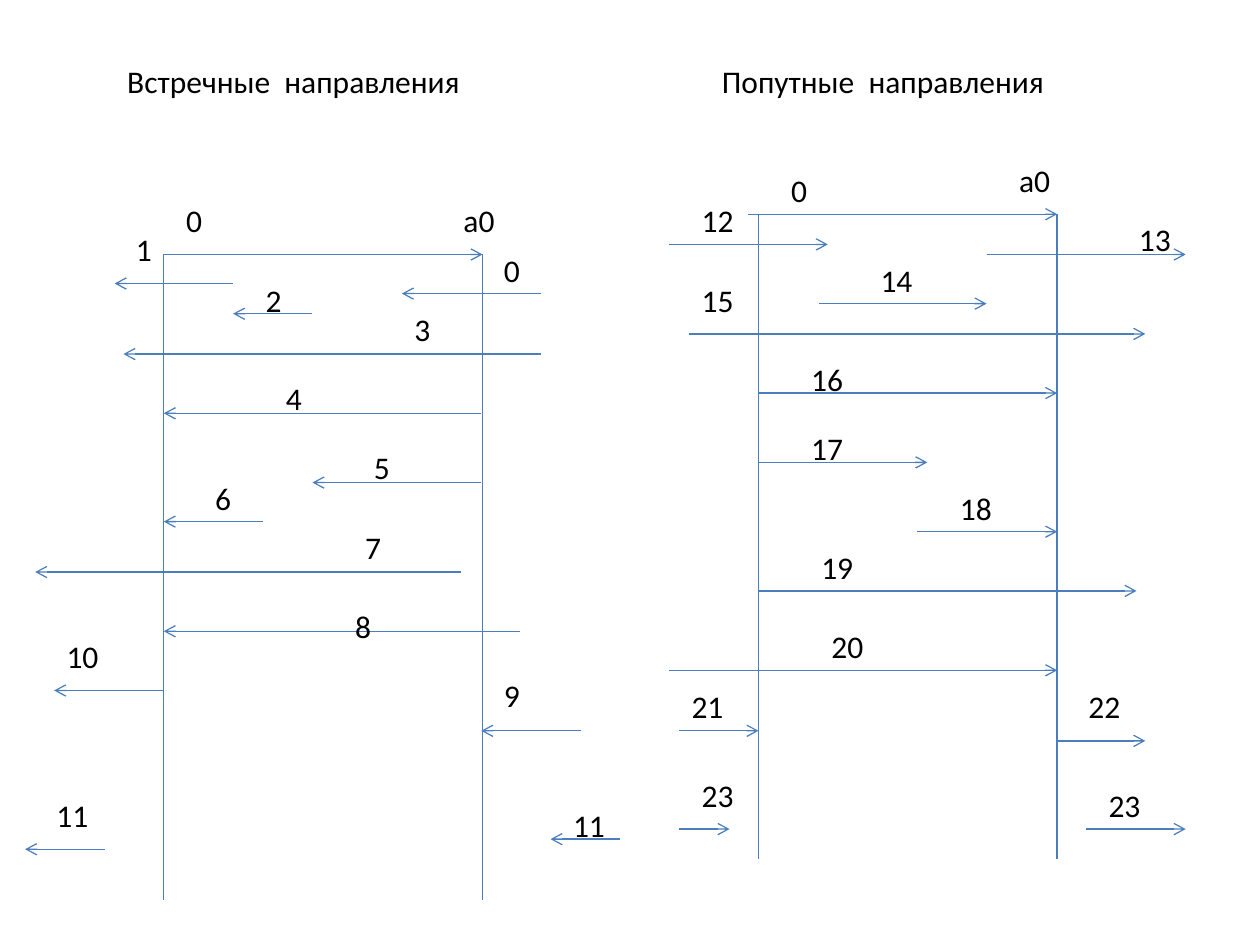
from dataclasses import dataclass
from pptx import Presentation
from pptx.dml.color import RGBColor
from pptx.enum.shapes import MSO_CONNECTOR as Link
from pptx.enum.text import MSO_ANCHOR as Anchor, MSO_AUTO_SIZE as Fit, PP_ALIGN as Align
from pptx.oxml.ns import qn
from pptx.util import Inches, Pt
from lxml.etree import SubElement


@dataclass(frozen=True)
class Theme:
    """Colours, fonts and sizes of the slide."""
    ink: RGBColor = RGBColor(0, 0, 0)
    blue: RGBColor = RGBColor(0x4B, 0x7E, 0xBC)
    font: str = "Calibri"
    size: Pt = Pt(18)
    line: Pt = Pt(0.75)


@dataclass(frozen=True)
class Box:
    """Area between two rails, in inches."""
    left: float
    top: float
    width: float
    height: float


THEME = Theme()

# label, label x, label y, arrow start x, arrow end x, arrow y
FACING = [
    ("0", 0.08, -0.47, 0, 2.53, 0),
    ("0", 2.6, -0.08, 2.99, 1.89, 0.31),
    ("1", -0.32, -0.24, 0.55, -0.39, 0.23),
    ("2", 0.71, 0.16, 1.18, 0.55, 0.47),
    ("3", 1.89, 0.39, 2.99, -0.32, 0.79),
    ("4", 0.87, 0.94, 2.52, 0, 1.26),
    ("5", 1.57, 1.49, 2.52, 1.18, 1.81),
    ("6", 0.31, 1.73, 0.79, 0, 2.12),
    ("7", 1.5, 2.12, 2.36, -1.02, 2.52),
    ("8", 1.42, 2.75, 2.83, 0, 2.99),
    ("9", 2.6, 3.3, 3.31, 2.52, 3.78),
    ("10", -0.87, 2.99, 0, -0.87, 3.46),
    ("11", 3.15, 4.33, 3.62, 3.07, 4.64),
    ("11", -0.95, 4.25, -0.47, -1.1, 4.72),
]
ALONG = [
    ("0", 0.16, -0.39, -0.08, 2.37, 0),
    ("12", -0.55, -0.15, -0.71, 0.55, 0.24),
    ("13", 2.92, 0, 1.81, 3.39, 0.32),
    ("14", 0.87, 0.32, 0.48, 1.81, 0.71),
    ("15", -0.55, 0.48, -0.55, 3.07, 0.95),
    ("16", 0.32, 1.11, 0, 2.37, 1.42),
    ("17", 0.32, 1.66, 0, 1.34, 1.97),
    ("18", 1.5, 2.13, 1.26, 2.37, 2.52),
    ("19", 0.4, 2.6, 0, 3, 2.99),
    ("20", 0.48, 3.23, -0.71, 2.37, 3.62),
    ("21", -0.63, 3.7, -0.63, 0, 4.1),
    ("22", 2.52, 3.7, 2.37, 3.07, 4.18),
    ("23", -0.55, 4.41, -0.63, -0.23, 4.88),
    ("23", 2.68, 4.49, 2.6, 3.39, 4.88),
]


def style(shape, text):
    """Fill a shape with one plain line of text."""
    frame = shape.text_frame
    frame.text = text
    frame.vertical_anchor = Anchor.TOP
    para = frame.paragraphs[0]
    para.alignment = Align.LEFT
    para.space_before = Pt(0)
    font = para.font
    font.name, font.size, font.bold = THEME.font, THEME.size, False
    font.color.rgb = THEME.ink
    return frame


def add_line(slide, box, start, end, arrow=False):
    """Draw a line between two points of the box."""
    (x1, y1), (x2, y2) = start, end
    line = slide.shapes.add_connector(
        Link.STRAIGHT,
        Inches(box.left + x1), Inches(box.top + y1),
        Inches(box.left + x2), Inches(box.top + y2))
    line.line.color.rgb = THEME.blue
    line.line.width = THEME.line
    if arrow:
        SubElement(line.line._get_or_add_ln(), qn("a:tailEnd"), type="arrow")
    SubElement(line._element.spPr, qn("a:effectLst"))


def add_label(slide, box, text, x, y):
    """Write a short label at a point of the box."""
    width = 0.33 if len(text) == 1 else 0.46
    shape = slide.shapes.add_textbox(
        Inches(box.left + x), Inches(box.top + y), Inches(width), Inches(0.4))
    frame = style(shape, text)
    frame.word_wrap = False
    frame.auto_size = Fit.SHAPE_TO_FIT_TEXT


def add_head(holder, box, text, x, y, width):
    """Place a heading placeholder above the box."""
    holder.left, holder.top = Inches(box.left + x), Inches(box.top + y)
    holder.width, holder.height = Inches(width), Inches(0.4)
    frame = style(holder, text)
    frame.word_wrap = True
    frame.auto_size = Fit.SHAPE_TO_FIT_TEXT


def add_panel(slide, box, rows, end):
    """Draw two rails with their labelled arrows."""
    for x in (0, box.width):
        add_line(slide, box, (x, 0), (x, box.height))
    add_label(slide, box, "a0", *end)
    for text, x, y, tail, tip, level in rows:
        add_line(slide, box, (tail, level), (tip, level), arrow=True)
        add_label(slide, box, text, x, y)


def main():
    """Build and save the slide."""
    deck = Presentation()
    deck.slide_width, deck.slide_height = Inches(10), Inches(7.5)
    slide = deck.slides.add_slide(deck.slide_layouts[4])
    title, first, body, second, other = slide.placeholders
    for spare in (title, body, other):
        spare._element.getparent().remove(spare._element)
    left = Box(1.3, 2.02, 2.53, 5.12)
    right = Box(6.02, 1.7, 2.37, 5.12)
    add_head(first, left, "Встречные  направления", -0.39, -1.58, 3.07)
    add_head(second, right, "Попутные  направления", -0.39, -1.26, 2.79)
    add_panel(slide, left, FACING, (2.28, -0.47))
    add_panel(slide, right, ALONG, (1.97, -0.47))
    deck.save("out.pptx")


if __name__ == "__main__":
    main()
